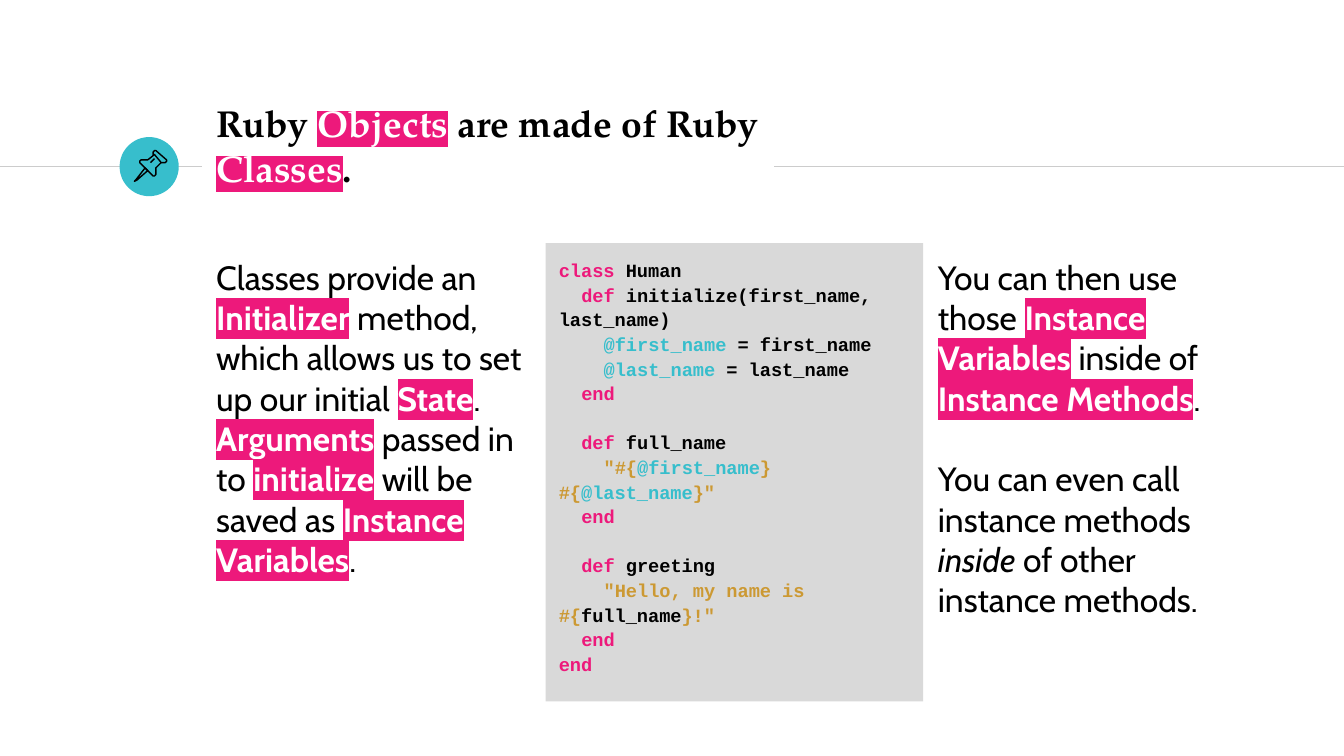
import dataclasses
from typing import NamedTuple

import pptx
import pptx.dml.color
import pptx.enum.shapes
import pptx.enum.text
import pptx.oxml.ns
import pptx.util
from lxml import etree

PX = 9144  # EMU per px, 100 px to the inch
BLACK, WHITE, GREY, PANEL = "000000", "FFFFFF", "CCCCCC", "D9D9D9"
PINK, TEAL, GOLD = "ED197B", "37BECC", "CC9933"
ANCHOR = pptx.enum.text.MSO_ANCHOR


class Run(NamedTuple):
    text: str
    color: str = BLACK
    highlight: str | None = None
    bold: bool = False
    italic: bool = False


class Paragraph(NamedTuple):
    runs: list[Run]
    indent: int = 0  # first line, in points
    gap: float = 0  # space before, in points


@dataclasses.dataclass
class Box:
    left: int
    top: int
    width: int
    height: int


@dataclasses.dataclass
class Stroke:
    points: list[tuple[int, int]]
    closed: bool


def rgb(color: str) -> pptx.dml.color.RGBColor:
    return pptx.dml.color.RGBColor.from_string(color)


def marked(text: str) -> Run:
    return Run(text, WHITE, PINK, bold=True)


def code_line(level: int, *runs: Run, gap: float = 0) -> Paragraph:
    return Paragraph(list(runs), indent=12 * level, gap=gap)


def add_text(shapes, box: Box, paragraphs: list[Paragraph], *, font: str, size: int,
             bold: bool = False, anchor=ANCHOR.TOP, line_spacing: float | None = None,
             fill: str | None = None) -> None:
    area = shapes.add_textbox(*(PX * v for v in dataclasses.astuple(box)))
    if fill:
        area.fill.solid()
        area.fill.fore_color.rgb = rgb(fill)
    frame = area.text_frame
    frame.word_wrap = True
    frame.vertical_anchor = anchor
    frame.margin_left = frame.margin_right = 10 * PX
    frame.margin_top = frame.margin_bottom = 10 * PX
    for number, content in enumerate(paragraphs):
        paragraph = frame.add_paragraph() if number else frame.paragraphs[0]
        paragraph.space_before = pptx.util.Pt(content.gap)
        if line_spacing:
            paragraph.line_spacing = line_spacing
        if content.indent:
            properties = paragraph._p.get_or_add_pPr()
            properties.set("marL", "0")
            properties.set("indent", str(pptx.util.Pt(content.indent)))
        for part in content.runs:
            run = paragraph.add_run()
            run.text = part.text
            run.font.size = pptx.util.Pt(size)
            run.font.bold = bold or part.bold
            run.font.italic = part.italic
            run.font.color.rgb = rgb(part.color)
            if part.highlight:
                mark = etree.SubElement(run._r.get_or_add_rPr(), pptx.oxml.ns.qn("a:highlight"))
                etree.SubElement(mark, pptx.oxml.ns.qn("a:srgbClr"), val=part.highlight)
            run.font.name = font


def add_rule(shapes, start: int, end: int, y: int) -> None:
    rule = shapes.add_connector(pptx.enum.shapes.MSO_CONNECTOR.STRAIGHT,
                                start * PX, y * PX, end * PX, y * PX)
    rule.line.color.rgb = rgb(GREY)
    rule.line.width = pptx.util.Pt(0.75)
    etree.SubElement(rule._element.spPr, pptx.oxml.ns.qn("a:effectLst"))


def add_stroke(shapes, stroke: Stroke) -> None:
    builder = shapes.build_freeform(*stroke.points[0], scale=PX)
    builder.add_line_segments(stroke.points[1:], close=stroke.closed)
    outline = builder.convert_to_shape()
    outline.shadow.inherit = False
    outline.fill.background()
    outline.line.color.rgb = rgb(BLACK)
    outline.line.width = pptx.util.Pt(0.75)


TITLE = [Paragraph([Run("Ruby "), marked("Objects"), Run(" are made of Ruby "),
                    marked("Classes"), Run(".")])]

CLASSES = [Paragraph([
    Run("Classes provide an "), marked("Initializer"),
    Run(" method, which allows us to set up our initial "), marked("State"), Run(". "),
    marked("Arguments"), Run(" passed in to "), marked("initialize"),
    Run(" will be saved as "), marked("Instance Variables"), Run("."),
])]

METHODS = [
    Paragraph([Run("You can then use those "), marked("Instance Variables"),
               Run(" inside of "), marked("Instance Methods"), Run(".")]),
    Paragraph([Run("You can even call instance methods "), Run("inside", italic=True),
               Run(" of other instance methods.")], gap=21.6),
]

DEF, END = Run("def", PINK), Run("end", PINK)
FIRST, LAST = Run("@first_name", TEAL), Run("@last_name", TEAL)
CODE = [
    code_line(0, Run("class", PINK), Run(" Human")),
    code_line(1, DEF, Run(" initialize(first_name, last_name)")),
    code_line(2, FIRST, Run(" = first_name")),
    code_line(2, LAST, Run(" = last_name")),
    code_line(1, END),
    code_line(1, DEF, Run(" full_name"), gap=13),
    code_line(2, Run('"#{', GOLD), FIRST, Run("} #{", GOLD), LAST, Run('}"', GOLD)),
    code_line(1, END),
    code_line(1, DEF, Run(" greeting"), gap=13),
    code_line(2, Run('"Hello, my name is #{', GOLD), Run("full_name"), Run('}!"', GOLD)),
    code_line(1, END),
    code_line(0, END),
]

PIN = [
    # Needle, cap, body and highlight
    Stroke([(108, 125), (101, 134), (100, 135), (102, 134), (110, 127)], True),
    Stroke([(115, 115), (120, 121), (122, 121), (123, 121), (124, 120), (124, 119),
            (116, 112), (115, 112), (114, 113), (114, 115)], True),
    Stroke([(115, 115), (110, 119), (107, 119), (105, 119), (104, 120), (104, 121),
            (114, 131), (115, 131), (116, 130), (116, 125), (120, 121)], False),
    Stroke([(112, 121), (115, 118)], False),
]


def main() -> None:
    deck = pptx.Presentation()
    # Widescreen, 16 to 9
    deck.slide_width = 1000 * PX
    deck.slide_height = deck.slide_width * 9 // 16
    shapes = deck.slides.add_slide(deck.slide_layouts[6]).shapes

    # Rules and badge beside the title
    add_rule(shapes, 0, 150, 124)
    badge = shapes.add_shape(pptx.enum.shapes.MSO_SHAPE.OVAL,
                             89 * PX, 102 * PX, 44 * PX, 44 * PX)
    badge.shadow.inherit = False
    badge.fill.solid()
    badge.fill.fore_color.rgb = rgb(TEAL)
    badge.line.fill.background()
    add_rule(shapes, 576, 1000, 124)

    # Title and three columns
    add_text(shapes, Box(151, 64, 424, 88), TITLE, font="TeX Gyre Pagella", size=20,
             bold=True, anchor=ANCHOR.MIDDLE)
    add_text(shapes, Box(151, 181, 255, 341), CLASSES, font="Cabin", size=18)
    add_text(shapes, Box(406, 181, 281, 341), CODE, font="Courier New", size=10,
             bold=True, line_spacing=1.1, fill=PANEL)
    add_text(shapes, Box(688, 181, 255, 341), METHODS, font="Cabin", size=18)

    # Pushpin on the badge
    pin = shapes.add_group_shape()
    for stroke in PIN:
        add_stroke(pin.shapes, stroke)

    deck.save("out.pptx")


if __name__ == "__main__":
    main()
